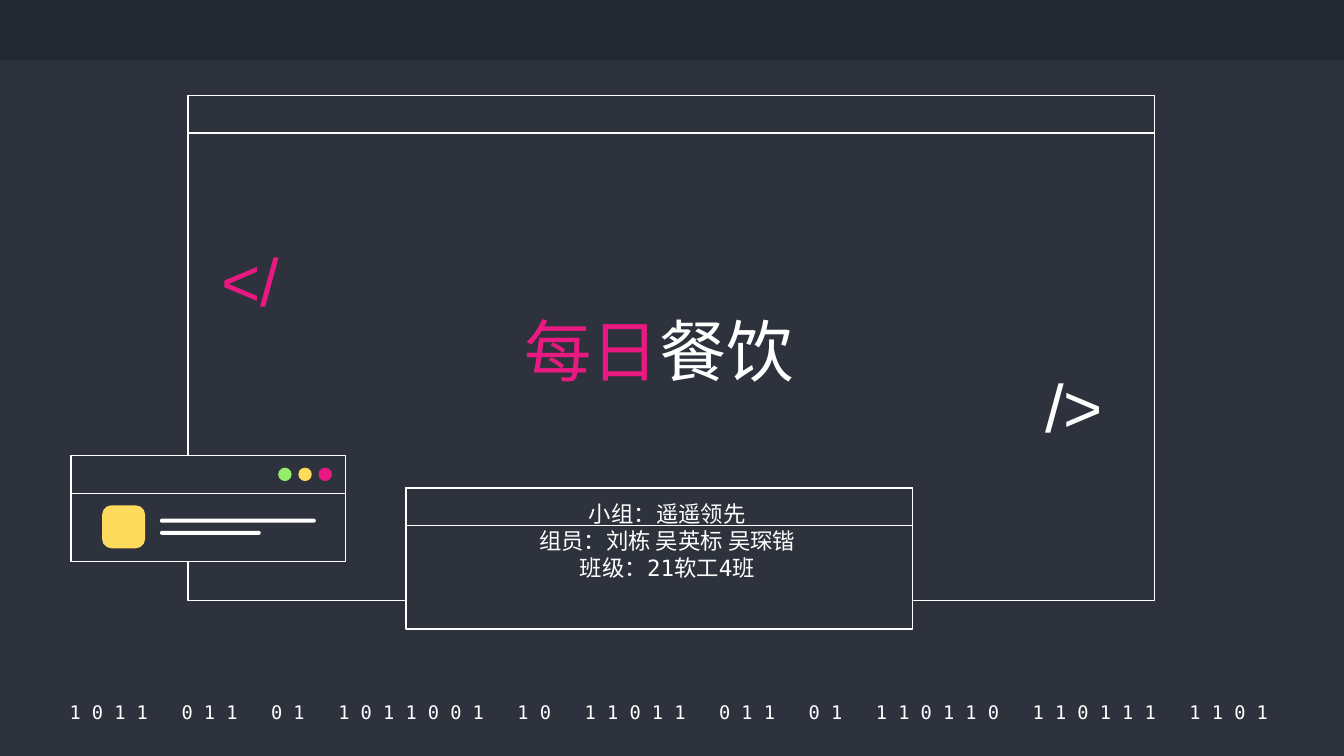
import pptx
import pptx.util
import pptx.dml.color
import pptx.enum.shapes
import pptx.enum.text

Inches, Pt = pptx.util.Inches, pptx.util.Pt
KIND = pptx.enum.shapes.MSO_SHAPE
ANCHOR = pptx.enum.text.MSO_ANCHOR
ALIGN = pptx.enum.text.PP_ALIGN

INK = {"back": "2D323C", "band": "242830", "white": "FFFFFF",
       "pink": "E81981", "gold": "FFDB5D", "green": "94EE6B"}
INK = {name: pptx.dml.color.RGBColor.from_string(code) for name, code in INK.items()}
MONO = "DejaVu Sans Mono"

# Slide in 16:9
deck = pptx.Presentation()
deck.slide_width = Inches(10)
deck.slide_height = Inches(10) * 9 // 16
slide = deck.slides.add_slide(deck.slide_layouts[5])
slide.background.fill.solid()
slide.background.fill.fore_color.rgb = INK["back"]
shapes = slide.shapes


def draw(kind, x, y, w, h, fill, line=None):
    shape = shapes.add_shape(kind, Inches(x), Inches(y), Inches(w), Inches(h))
    shape.shadow.inherit = False
    shape.fill.solid()
    shape.fill.fore_color.rgb = INK[fill]
    if line:
        shape.line.color.rgb = INK[line]
        shape.line.width = Pt(0.75)
    else:
        shape.line.fill.background()
    return shape


def write(box, text, ink="white", size=36, font="Arial", align=ALIGN.LEFT,
          anchor=ANCHOR.MIDDLE, space=1.0):
    """Add text to the end of the box, one paragraph per line."""
    frame = box.text_frame
    frame.word_wrap = True
    frame.auto_size = pptx.enum.text.MSO_AUTO_SIZE.NONE
    frame.vertical_anchor = anchor
    frame.margin_left = frame.margin_right = Inches(0.1)
    frame.margin_top = frame.margin_bottom = Inches(0.1)
    for i, line in enumerate(text.split("\n")):
        para = frame.add_paragraph() if i else frame.paragraphs[-1]
        para.alignment, para.line_spacing = align, space
        run = para.add_run()
        run.text = line
        run.font.size, run.font.name = Pt(size), font
        run.font.color.rgb = INK[ink]


# Top band and binary footer
draw(KIND.RECTANGLE, 0, 0, 10, 0.45, "band")
bits = "1011 011 01 1011001 10 11011 011 01 110110 110111 1101"
foot = shapes.add_textbox(Inches(0.38), Inches(5.2), Inches(9.27), Inches(0.2))
write(foot, "   ".join(" ".join(word) for word in bits.split()) + " ",
      size=10, font=MONO, align=ALIGN.CENTER)

# Windows: a frame with a title bar
for x, y, w, h in [(1.4, 0.71, 7.19, 3.76), (3.02, 3.63, 3.77, 1.05),
                   (0.53, 3.39, 2.04, 0.79)]:
    for high in (h, 0.28):
        draw(KIND.RECTANGLE, x, y, w, high, "back", "white")

# Code tags
for tag, ink, x, y in [("</", "pink", 1.55, 1.79), ("/>", "white", 7.68, 2.73)]:
    box = shapes.add_textbox(Inches(x), Inches(y), Inches(0.77), Inches(0.66))
    write(box, tag, ink=ink, space=0.9)

# Title, brought in front of the windows
title = shapes.title
title.left, title.top = Inches(3.08), Inches(2.18)
title.width, title.height = Inches(3.65), Inches(0.83)
for text, ink in [("每日", "pink"), ("餐饮", "white")]:
    write(title, text, ink=ink, align=ALIGN.CENTER, anchor=ANCHOR.BOTTOM, space=0.9)
title.element.getparent().append(title.element)

# Team details
team = shapes.add_textbox(Inches(3.22), Inches(3.62), Inches(3.49), Inches(1.05))
write(team, "小组：遥遥领先\n组员：刘栋 吴英标 吴琛锴\n班级：21软工4班",
      size=12, font=MONO, align=ALIGN.CENTER, anchor=ANCHOR.TOP)

# Small window: icon, text bars and buttons
icon = draw(KIND.ROUNDED_RECTANGLE, 0.76, 3.76, 0.32, 0.32, "gold")
icon.adjustments[0] = 0.22
for y, w in [(3.86, 1.16), (3.95, 0.75)]:
    bar = draw(KIND.ROUNDED_RECTANGLE, 1.19, y, w, 0.03, "white")
    bar.adjustments[0] = 0.5
for i, ink in enumerate(["green", "gold", "pink"]):
    draw(KIND.OVAL, 2.07 + 0.15 * i, 3.48, 0.1, 0.1, ink)

deck.save("out.pptx")
